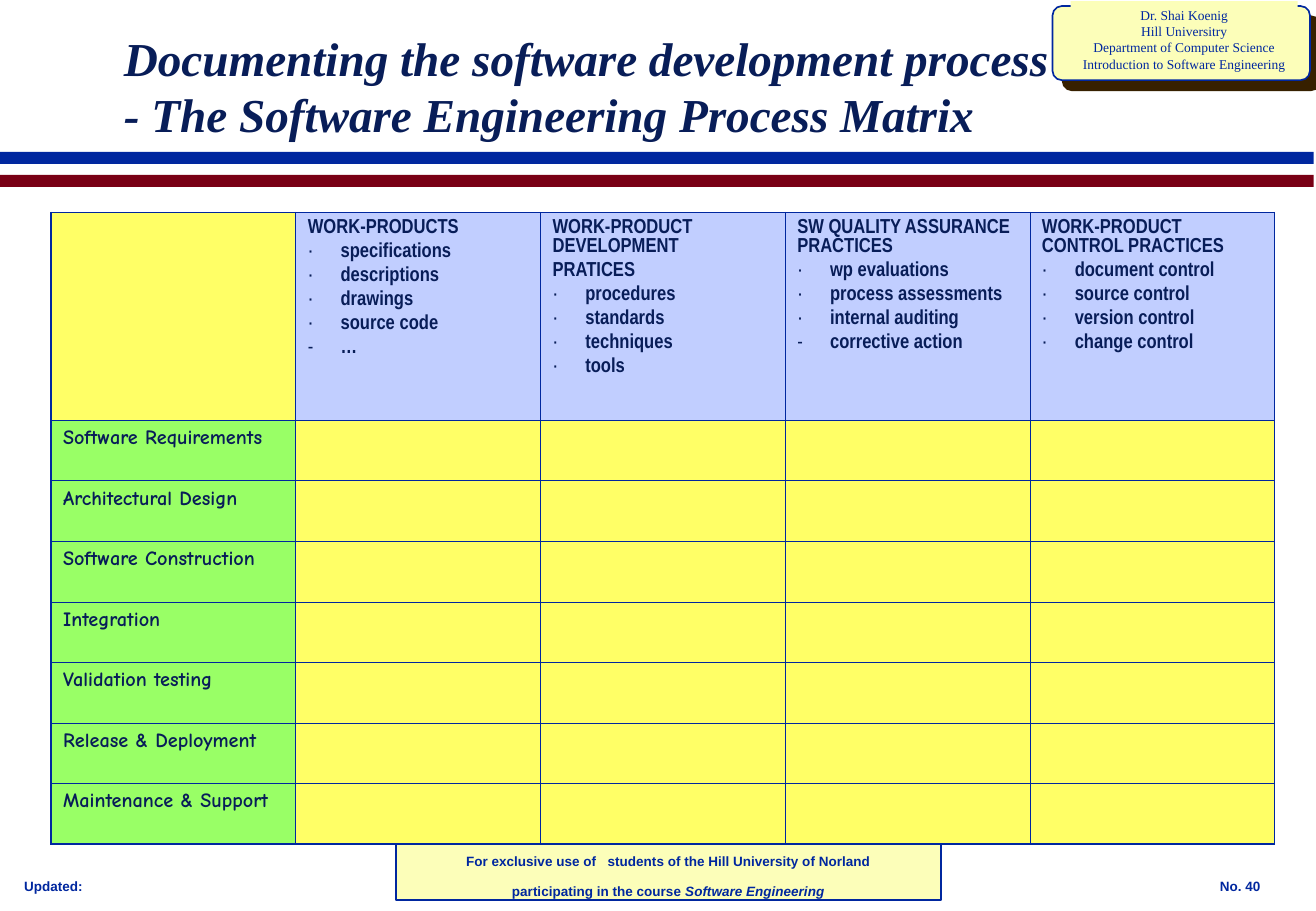
import pptx
import pptx.util
import pptx.dml.color
import pptx.enum.shapes
import pptx.enum.text
import pptx.oxml
import pptx.oxml.ns

Inches = pptx.util.Inches
Pt = pptx.util.Pt
RGBColor = pptx.dml.color.RGBColor
SHAPE = pptx.enum.shapes.MSO_SHAPE
ALIGN = pptx.enum.text.PP_ALIGN
ANCHOR = pptx.enum.text.MSO_ANCHOR
FIT = pptx.enum.text.MSO_AUTO_SIZE

BLUE = RGBColor(0x00, 0x27, 0x9F)
NAVY = RGBColor(0x08, 0x1D, 0x58)
MAROON = RGBColor(0x79, 0x00, 0x15)
CREAM = RGBColor(0xFC, 0xFE, 0xB9)
BROWN = RGBColor(0x37, 0x20, 0x00)
YELLOW = RGBColor(0xFF, 0xFF, 0x66)
LILAC = RGBColor(0xC1, 0xCE, 0xFF)
GREEN = RGBColor(0x99, 0xFF, 0x66)

TITLE = {"name": "Times New Roman", "size": Pt(28), "bold": True, "italic": True}
CARD = {"name": "Times New Roman", "size": Pt(8), "bold": False}
FOOT = {"name": "Arial", "size": Pt(8), "bold": True}
HEAD = {"name": "Arial Narrow", "size": Pt(12), "bold": True}
STAGE = {"name": "Comic Neue", "size": Pt(12), "bold": True}

AUTHOR = ["Dr. Shai Koenig", "Hill Universitry", "Department of Computer Science",
          "Introduction to Software Engineering"]
# Each column: heading paragraphs, then (bullet, item) pairs
COLUMNS = [
    (["WORK-PRODUCTS"],
     [("·", "specifications"), ("·", "descriptions"), ("·", "drawings"),
      ("·", "source code"), ("-", "…")]),
    (["WORK-PRODUCT DEVELOPMENT", "PRATICES"],
     [("·", "procedures"), ("·", "standards"), ("·", "techniques"), ("·", "tools")]),
    (["SW QUALITY ASSURANCE PRACTICES"],
     [("·", "wp evaluations"), ("·", "process assessments"),
      ("·", "internal auditing"), ("-", "corrective action")]),
    (["WORK-PRODUCT CONTROL PRACTICES"],
     [("·", "document control"), ("·", "source control"),
      ("·", "version control"), ("·", "change control")]),
]
STAGES = ["Software Requirements", "Architectural Design", "Software Construction",
          "Integration", "Validation testing", "Release & Deployment",
          "Maintenance & Support"]


def dress(target, values):
    for name, value in values.items():
        setattr(target, name, value)


def add_node(parent, markup):
    """Append DrawingML markup, whose outer tag is left open for the namespace."""
    parent.append(pptx.oxml.parse_xml(
        markup.replace(" ", f' {pptx.oxml.ns.nsdecls("a")} ', 1)))


def add_run(para, words, style, color):
    run = para.add_run()
    run.text = words
    dress(run.font, style)
    run.font.color.rgb = color


def fill_text(frame, lines, style, color, align=ALIGN.LEFT, gap=0):
    """Write one paragraph a line; a (bullet, item) pair becomes a list item."""
    for index, line in enumerate(lines):
        para = frame.add_paragraph() if index else frame.paragraphs[0]
        para.alignment = align
        para.space_before = Pt(gap if index else 0)
        if isinstance(line, tuple):
            mark, line = line
            props = para._p.get_or_add_pPr()
            props.set("marL", str(Inches(0.27)))
            props.set("indent", str(-Inches(0.27)))
            add_node(props, f'<a:buFont typeface="{style["name"]}"/>')
            add_node(props, f'<a:buChar char="{mark}"/>')
        add_run(para, line, style, color)


def add_panel(slide, kind, box, color, line=None):
    panel = slide.shapes.add_shape(kind, *map(Inches, box))
    panel.shadow.inherit = False
    panel.fill.solid()
    panel.fill.fore_color.rgb = color
    if line is None:
        panel.line.fill.background()
    else:
        panel.line.color.rgb = line
        panel.line.width = Pt(1)
    return panel


def add_label(slide, box, lines, style, align=ALIGN.LEFT, wrap=False):
    label = slide.shapes.add_textbox(*map(Inches, box))
    label.text_frame.word_wrap = wrap
    fill_text(label.text_frame, lines, style, BLUE, align)
    return label


def draw_bands(slide, left, top, width):
    for step, color in enumerate([BLUE, MAROON]):
        add_panel(slide, SHAPE.RECTANGLE, (left, top + step * 0.19, width, 0.1), color)


def draw_card(slide, left, top, width, height):
    """Author card with a hard shadow and its text."""
    card = add_panel(slide, SHAPE.ROUNDED_RECTANGLE, (left, top, width, height), CREAM, BLUE)
    card.adjustments[0] = 0.125
    effects = card._element.spPr.find(pptx.oxml.ns.qn("a:effectLst"))
    add_node(effects, f'<a:outerShdw blurRad="0" dist="{Pt(8.5)}" dir="2700000" '
             f'algn="tl" rotWithShape="0"><a:srgbClr val="{BROWN}"/></a:outerShdw>')
    label = add_label(slide, (left + 0.15, top - 0.04, width - 0.25, height + 0.02),
                      AUTHOR, CARD, ALIGN.CENTER)
    label.fill.solid()
    label.fill.fore_color.rgb = CREAM


def draw_foot(slide, left, top, width, height):
    """Notice in its panel, with the date and number on either side."""
    add_panel(slide, SHAPE.RECTANGLE, (left, top, width, height), CREAM, BLUE)
    add_label(slide, (left - 3.16, top + 0.26, 1.15, 0.23), ["Updated:"], FOOT)
    add_label(slide, (left + 6.69, top + 0.26, 0.95, 0.23), ["No. 40"], FOOT)
    notice = add_label(slide, (left, top - 0.17, width, 0.71),
                       ["For exclusive use of"], FOOT, ALIGN.CENTER, True)
    first = notice.text_frame.paragraphs[0]
    add_run(first, " ", FOOT | {"size": Pt(24)}, BLUE)
    add_run(first, "students of the Hill University of Norland", FOOT, BLUE)
    last = notice.text_frame.add_paragraph()
    dress(last, {"alignment": ALIGN.CENTER, "space_before": Pt(5)})
    add_run(last, "participating in the course ", FOOT, BLUE)
    add_run(last, "Software Engineering", FOOT | {"italic": True}, BLUE)


def draw_title(slide, left, top, width, height):
    title = slide.shapes.title
    dress(title, {"left": Inches(left), "top": Inches(top),
                  "width": Inches(width), "height": Inches(height)})
    frame = title.text_frame
    dress(frame, {"vertical_anchor": ANCHOR.MIDDLE, "word_wrap": True,
                  "auto_size": FIT.NONE})
    fill_text(frame, ["Documenting the software development process"], TITLE, NAVY)
    para = frame.paragraphs[0]
    para.add_line_break()
    add_run(para, "- The Software Engineering Process Matrix", TITLE, NAVY)


def style_cell(cell, color, edges):
    """Draw the cell's borders, given as widths by side, and then its fill."""
    props = cell._tc.get_or_add_tcPr()
    for side, width in edges.items():
        add_node(props, f'<a:ln{side} w="{Pt(width)}"><a:solidFill>'
                 f'<a:srgbClr val="{BLUE}"/></a:solidFill></a:ln{side}>')
    cell.fill.solid()
    cell.fill.fore_color.rgb = color


def draw_matrix(slide, left, top, width, height):
    rows, cols = len(STAGES) + 1, len(COLUMNS) + 1
    head = 1.71
    table = slide.shapes.add_table(rows, cols, *map(Inches, (left, top, width, height))).table
    dress(table, {"first_row": False, "horz_banding": False})
    for col in table.columns:
        col.width = Inches(width / cols)
    for index, row in enumerate(table.rows):
        row.height = Inches((height - head) / len(STAGES) if index else head)
    for r in range(rows):
        for c in range(cols):
            outer = {"L": c == 0, "R": c == cols - 1, "T": r == 0, "B": r == rows - 1}
            color = LILAC if c and not r else GREEN if r and not c else YELLOW
            style_cell(table.cell(r, c), color,
                       {side: 1.08 if edge else 0.45 for side, edge in outer.items()})
    for c, (heading, items) in enumerate(COLUMNS, 1):
        fill_text(table.cell(0, c).text_frame, heading + items, HEAD, NAVY, gap=3)
    for r, stage in enumerate(STAGES, 1):
        fill_text(table.cell(r, 0).text_frame, [stage], STAGE, NAVY)


def main():
    deck = pptx.Presentation()
    dress(deck, {"slide_width": Inches(10.84), "slide_height": Inches(7.5)})
    slide = deck.slides.add_slide(deck.slide_layouts[5])
    draw_foot(slide, 3.26, 6.92, 4.49, 0.49)
    draw_bands(slide, 0, 1.25, 10.82)
    draw_card(slide, 8.67, 0.05, 2.12, 0.61)
    draw_title(slide, 0.92, 0.33, 8.5, 0.75)
    draw_matrix(slide, 0.42, 1.75, 10.08, 5.2)
    deck.save("out.pptx")


if __name__ == "__main__":
    main()
